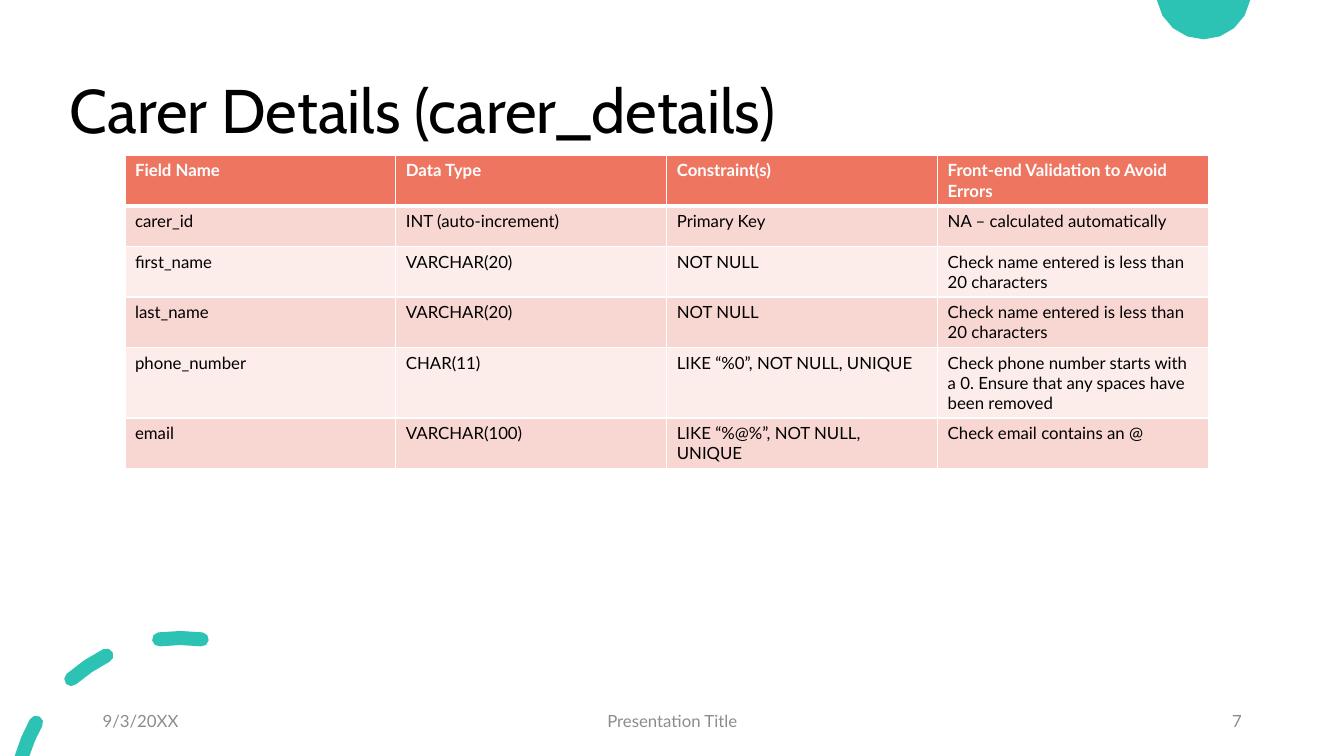
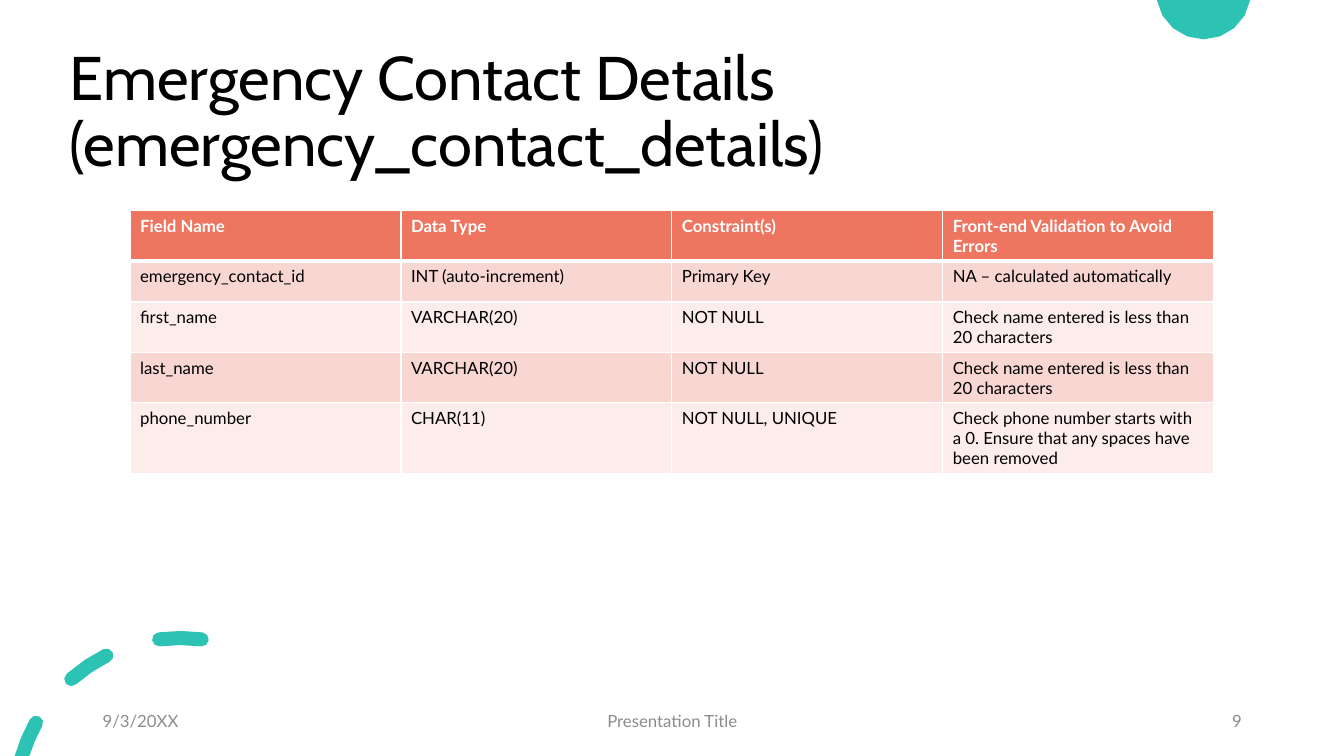
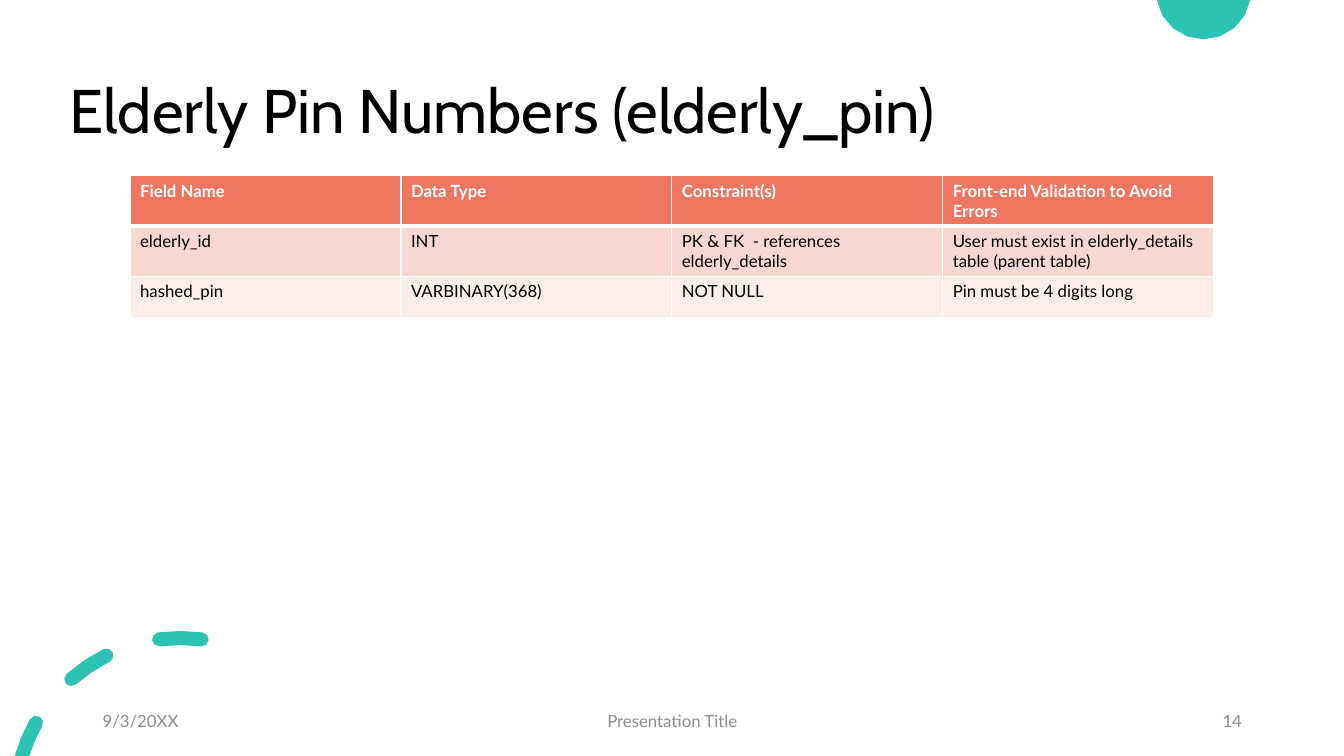
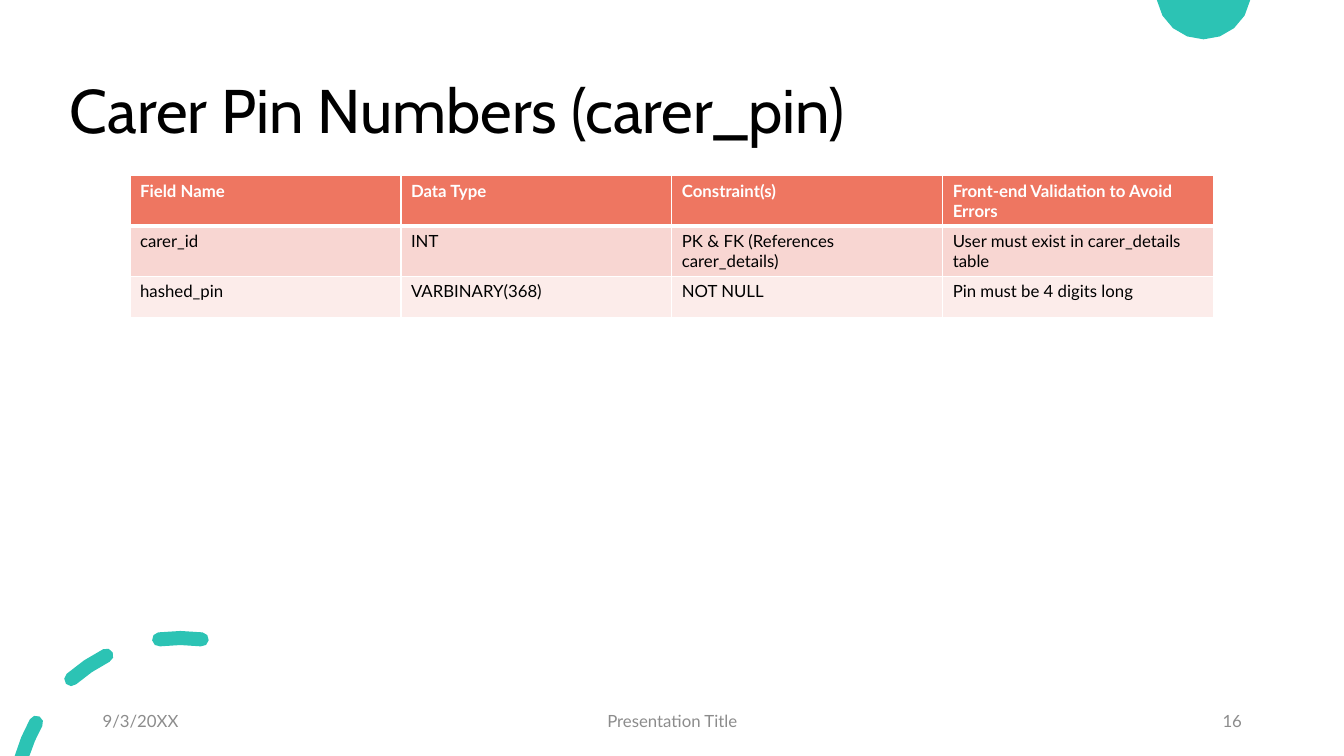
import math
import pptx
import pptx.util
import pptx.dml.color
import pptx.enum.text
import pptx.oxml
import pptx.oxml.ns

Inches = pptx.util.Inches
Pt = pptx.util.Pt
RGBColor = pptx.dml.color.RGBColor
ALIGN = pptx.enum.text.PP_ALIGN
MIDDLE = pptx.enum.text.MSO_ANCHOR.MIDDLE

TEAL = RGBColor(0x2C, 0xC3, 0xB4)
CORAL = RGBColor(0xEE, 0x76, 0x61)
ROSE = RGBColor(0xF8, 0xD6, 0xD2)
BLUSH = RGBColor(0xFC, 0xEC, 0xEA)
GREY = RGBColor(0x8C, 0x8C, 0x8C)
BLACK = RGBColor(0, 0, 0)
WHITE = RGBColor(0xFF, 0xFF, 0xFF)

HIGH = 7.5
WIDE = HIGH * 16 / 9
ROW = 29.2 / 72
HEAD = ["Field Name", "Data Type", "Constraint(s)", "Front-end Validation to Avoid Errors"]
AUTO = ["INT (auto-increment)", "Primary Key", "NA – calculated automatically"]
NAMES = [
    [field, "VARCHAR(20)", "NOT NULL", "Check name entered is less than 20 characters"]
    for field in ("first_name", "last_name")
]
PHONE = "Check phone number starts with a 0. Ensure that any spaces have been removed"
PIN = ["hashed_pin", "VARBINARY(368)", "NOT NULL", "Pin must be 4 digits long"]

PAGES = [
    ("Carer Details (carer_details)", "7", 1.24, 1.54, [
        ["carer_id"] + AUTO,
        *NAMES,
        ["phone_number", "CHAR(11)", "LIKE “%0”, NOT NULL, UNIQUE", PHONE],
        ["email", "VARCHAR(100)", "LIKE “%@%”, NOT NULL, UNIQUE", "Check email contains an @"],
    ]),
    ("Emergency Contact Details (emergency_contact_details)", "9", 1.29, 2.09, [
        ["emergency_contact_id"] + AUTO,
        *NAMES,
        ["phone_number", "CHAR(11)", "NOT NULL, UNIQUE", PHONE],
    ]),
    ("Elderly Pin Numbers (elderly_pin)", "14", 1.29, 1.74, [
        ["elderly_id", "INT", "PK & FK  - references elderly_details",
         "User must exist in elderly_details table (parent table)"],
        PIN,
    ]),
    ("Carer Pin Numbers (carer_pin)", "16", 1.29, 1.74, [
        ["carer_id", "INT", "PK & FK (References carer_details)",
         "User must exist in carer_details table"],
        PIN,
    ]),
]


def arc(x, y, radius, start, end, steps):
    turns = [math.radians(start + (end - start) * i / steps) for i in range(steps + 1)]
    return [(x - radius * math.sin(t), y - radius * math.cos(t)) for t in turns]


def style(para, font, size, color, bold=False):
    for run in para.runs:
        run.font.name = font
        run.font.size = Pt(size)
        run.font.color.rgb = color
        run.font.bold = bold


HUB_X, HUB_Y, RING, HALF = 1.79, 7.97, 1.64, 0.07
dashes = []
for start, outer, inner in [(-7.4, 7.4, 7.4), (26.6, 41.3, 41.3), (60.8, 74.05, 72.58)]:
    (ax, ay), (bx, by) = arc(HUB_X, HUB_Y, RING, start, outer, 1)
    points = arc(HUB_X, HUB_Y, RING + HALF, start, outer, 2)
    if outer == inner:
        points += arc(bx, by, HALF, outer, outer + 180, 4)[1:-1]
    points += arc(HUB_X, HUB_Y, RING - HALF, inner, start, 2)
    points += arc(ax, ay, HALF, start + 180, start + 360, 4)[1:-1]
    dashes.append(points)
dome = arc(11.94, -0.08, 0.47, 99.8, 260.2, 8)

deck = pptx.Presentation()
deck.slide_width, deck.slide_height = Inches(WIDE), Inches(HIGH)

for title, number, left, top, body in PAGES:
    slide = deck.slides.add_slide(deck.slide_layouts[5])

    for outline in ([dome], dashes):
        pen = None
        for points in outline:
            spots = [(Inches(x), Inches(y)) for x, y in points]
            if pen is None:
                pen = slide.shapes.build_freeform(*spots[0])
            else:
                pen.move_to(*spots[0])
            pen.add_line_segments(spots[1:])
        shape = pen.convert_to_shape()
        shape.shadow.inherit = False
        shape.fill.solid()
        shape.fill.fore_color.rgb = TEAL
        shape.line.fill.background()

    head = slide.shapes.title
    head.left, head.top = Inches(0.59), Inches(0.4)
    head.width, head.height = Inches(11.5), Inches(1.45)
    frame = head.text_frame
    frame.text = title
    frame.auto_size = pptx.enum.text.MSO_AUTO_SIZE.NONE
    frame.vertical_anchor = MIDDLE
    para = frame.paragraphs[0]
    para.alignment = ALIGN.LEFT
    para.line_spacing = 0.9
    style(para, "Cabin", 44, BLACK)

    rows = [HEAD] + body
    table = slide.shapes.add_table(
        len(rows), len(HEAD), Inches(left), Inches(top),
        Inches(10.75), Inches(ROW * len(rows))).table
    for r, row in enumerate(rows):
        for c, text in enumerate(row):
            cell = table.cell(r, c)
            cell.text = text
            style(cell.text_frame.paragraphs[0], "Lato", 12, BLACK if r else WHITE, r == 0)
            props = cell._tc.get_or_add_tcPr()
            for side in "LRTB":
                thick = (r, side) in [(0, "B"), (1, "T")]
                props.append(pptx.oxml.parse_xml(
                    f'<a:ln{side} {pptx.oxml.ns.nsdecls("a")} w="{Pt(3 if thick else 1)}">'
                    f'<a:solidFill><a:srgbClr val="{WHITE}"/></a:solidFill></a:ln{side}>'))
            cell.fill.solid()
            cell.fill.fore_color.rgb = CORAL if r == 0 else ROSE if r % 2 else BLUSH

    for x, width, align, text in [
        (0.92, 3, ALIGN.LEFT, "9/3/20XX"),
        (4.42, 4.5, ALIGN.CENTER, "Presentation Title"),
        (9.42, 3, ALIGN.RIGHT, number),
    ]:
        frame = slide.shapes.add_textbox(
            Inches(x), Inches(6.95), Inches(width), Inches(0.4)).text_frame
        frame.word_wrap = True
        frame.vertical_anchor = MIDDLE
        frame.text = text
        frame.paragraphs[0].alignment = align
        style(frame.paragraphs[0], "Lato", 12, GREY)

deck.save("out.pptx")
